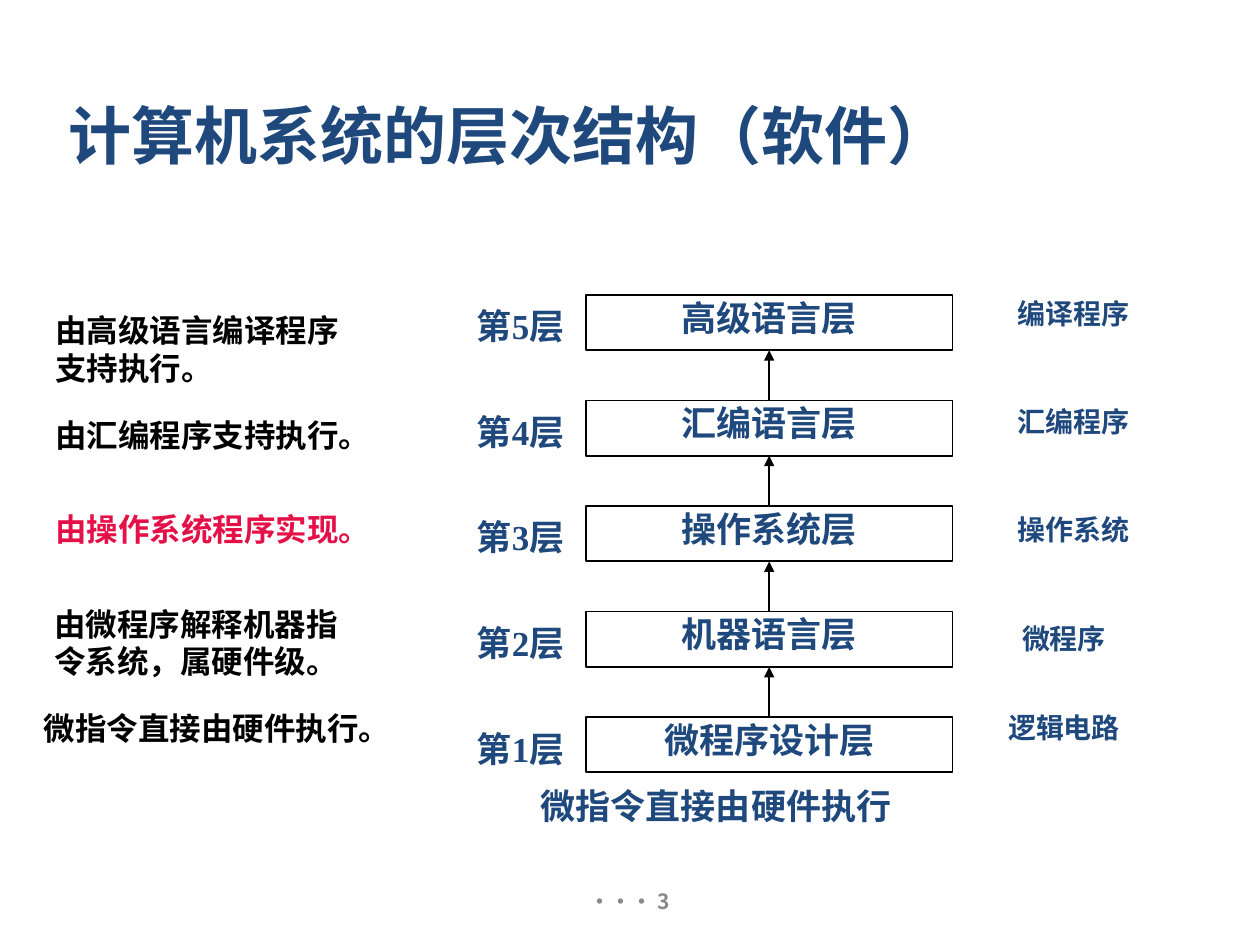
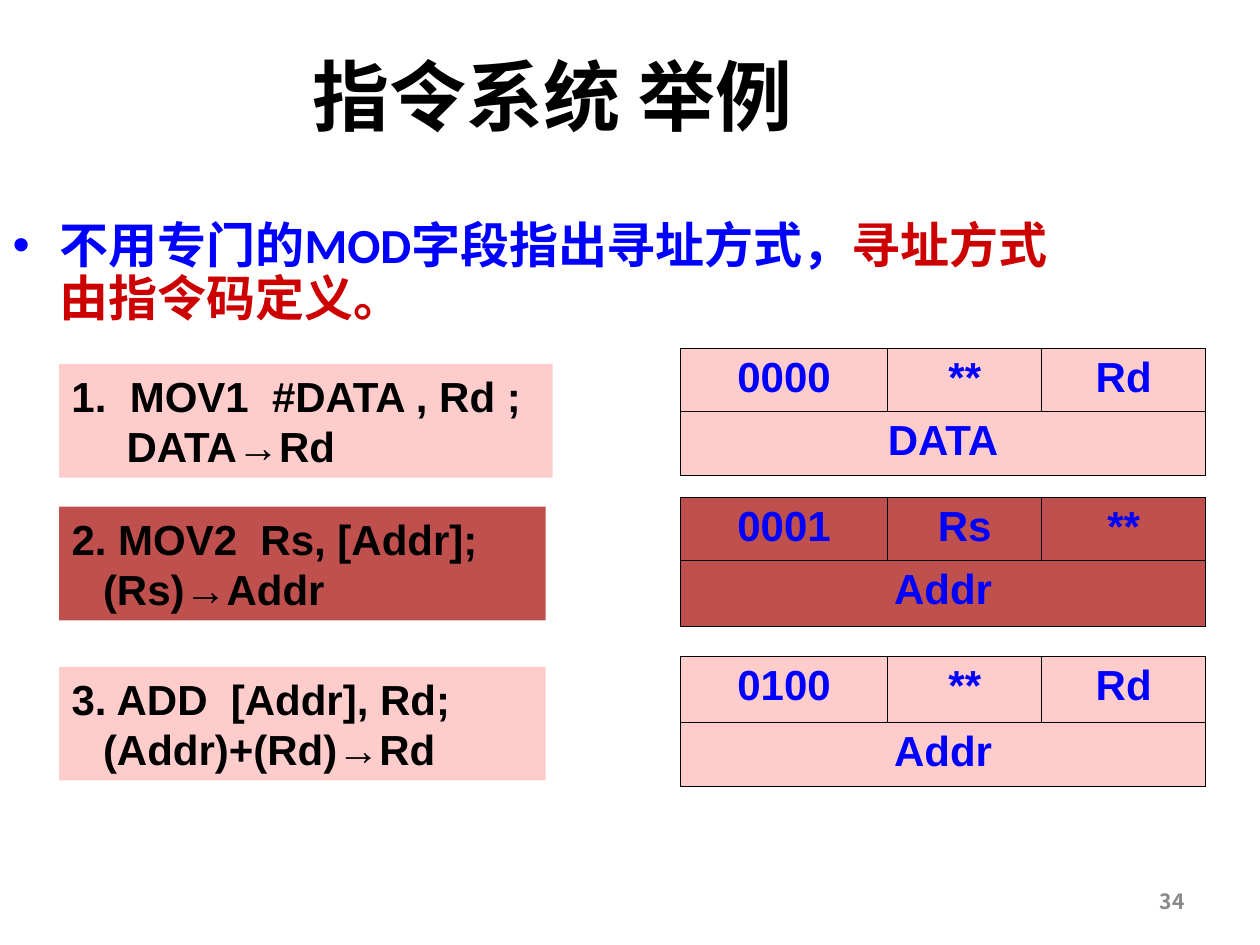
from lxml import etree
from pptx import Presentation
from pptx.dml.color import RGBColor
from pptx.enum.shapes import MSO_CONNECTOR, MSO_SHAPE
from pptx.enum.text import MSO_ANCHOR, MSO_AUTO_SIZE, PP_ALIGN
from pptx.oxml.ns import qn
from pptx.util import Pt

LEFT, MID, RIGHT = PP_ALIGN.LEFT, PP_ALIGN.CENTER, PP_ALIGN.RIGHT
TOP, CENTER = MSO_ANCHOR.TOP, MSO_ANCHOR.MIDDLE
RECT, LINE = MSO_SHAPE.RECTANGLE, MSO_CONNECTOR.STRAIGHT
FIXED = MSO_AUTO_SIZE.NONE

COLORS = {
    "navy": "1F497D", "black": "000000", "red": "E41048", "gray": "898989",
    "blue": "0000FF", "dark": "CC0000", "pink": "FFCCCC", "brick": "C0504D",
}
SANS, CJK, SERIF, BODY = "Arial", "Noto Sans CJK SC", "Times New Roman", "Calibri"
WIDE, THIN = (7.2, 3.6), (0.72, 0.72)

# Level name, program, left and top of the program's label
LEVELS = [
    ("高级语言层", "编译程序", 534, 168.5),
    ("汇编语言层", "汇编程序", 534, 230.4),
    ("操作系统层", "操作系统", 534, 292.3),
    ("机器语言层", "微程序", 528.5, 354.2),
    ("微程序设计层", "逻辑电路", 528.5, 405.4),
]
# Lines, left, top, colour
NOTES = [
    (["由高级语言编译程序", "支持执行。"], 24.5, 174.2, "black"),
    (["由汇编程序支持执行。"], 24.5, 234, "black"),
    (["由操作系统程序实现。"], 24.5, 288, "red"),
    (["由微程序解释机器指", "令系统，属硬件级。"], 24, 342, "black"),
    (["微指令直接由硬件执行。"], 18, 401.8, "black"),
]
# Code lines, top, width, indent of line two, colour
CODES = [
    (["1.  MOV1  #DATA , Rd ;", "DATA→Rd"], 208, 282, 31.5, "pink"),
    (["2. MOV2  Rs, [Addr];", "(Rs)→Addr"], 289.5, 278, 18, "brick"),
    (["3. ADD  [Addr], Rd;", "(Addr)+(Rd)→Rd"], 381, 278, 18, "pink"),
]
# Fields, second word, top, row heights, colour
FORMATS = [
    (["0000", "**", "Rd"], "DATA", 199.2, (36, 36.5), "pink"),
    (["0001", "Rs", "**"], "Addr", 284.3, (36, 37.5), "brick"),
    (["0100", "**", "Rd"], "Addr", 375.1, (37.5, 36.5), "pink"),
]


def rgb(name):
    return RGBColor.from_string(COLORS[name])


def style(para, size, face, color, align=LEFT):
    """Set the font of a whole paragraph, with one East Asian face."""
    font = para.font
    font.size, font.bold, font.name = Pt(size), True, face
    font.color.rgb = rgb(color)
    para.alignment = align
    latin = para._p.pPr.find(qn("a:defRPr")).find(qn("a:latin"))
    east = etree.Element(qn("a:ea"), typeface=CJK)
    latin.addnext(east)


def place(shape, box):
    shape.left, shape.top, shape.width, shape.height = map(Pt, box)


def write(shape, lines, size, face, color, align=LEFT, pad=WIDE, anchor=TOP):
    frame = shape.text_frame
    frame.auto_size, frame.word_wrap = FIXED, True
    frame.vertical_anchor = anchor
    frame.margin_left = frame.margin_right = Pt(pad[0])
    frame.margin_top = frame.margin_bottom = Pt(pad[1])
    frame.text = "\n".join(lines)
    for para in frame.paragraphs:
        style(para, size, face, color, align)
    return frame


def label(slide, box, lines, *look, **more):
    shape = slide.shapes.add_textbox(*map(Pt, box))
    return write(shape, lines, *look, **more)


def title(slide, box, text, *look):
    place(slide.shapes.title, box)
    write(slide.shapes.title, [text], *look, anchor=CENTER)


def number(slide, box, text, align):
    label(slide, box, [text], 12, CJK, "gray", align, anchor=CENTER)


def block(slide, box, fill=None):
    """Plain rectangle: filled without line, or outlined without fill."""
    shape = slide.shapes.add_shape(RECT, *map(Pt, box))
    shape.shadow.inherit = False
    if fill:
        shape.fill.solid()
        shape.fill.fore_color.rgb = rgb(fill)
        shape.line.fill.background()
    else:
        shape.fill.background()
        shape.line.color.rgb = rgb("black")
        shape.line.width = Pt(1)
    return shape


def arrow(slide, low, high):
    """Arrow from the top of one box to the bottom of the box above."""
    line = slide.shapes.add_connector(LINE, 0, 0, 0, 0)
    line.begin_connect(low, 0)
    line.end_connect(high, 2)
    line.line.color.rgb = rgb("black")
    line.line.width = Pt(1)
    etree.SubElement(line.line._get_or_add_ln(), qn("a:tailEnd"),
                     type="triangle", w="med", len="med")
    etree.SubElement(line._element.spPr, qn("a:effectLst"))


def stack(slide, box, pitch):
    """Level boxes, numbered on the left and joined by arrows."""
    left, top, width, height = box
    above = None
    for i, (name, tool, x, y) in enumerate(LEVELS):
        row = top + i * pitch
        level = block(slide, (left, row, width, height))
        frame = write(level, [name], 20, SERIF, "navy", MID, THIN)
        frame.paragraphs[0].space_before = Pt(1)
        label(slide, (left - 137.5, row + 5, 126, 27.4),
              [f"第{len(LEVELS) - i}层"], 20, SERIF, "navy", RIGHT, pad=THIN)
        label(slide, (x, y, 159, 27.4), [tool], 16, SERIF, "navy", MID, pad=THIN)
        if above:
            arrow(slide, level, above)
        above = level
    label(slide, (left - 26.5, row + 38, 285, 27.4), ["微指令直接由硬件执行"],
          20, SERIF, "navy", pad=THIN)


def border(cell):
    props = cell._tc.get_or_add_tcPr()
    for i, side in enumerate(("lnL", "lnR", "lnT", "lnB")):
        line = etree.Element(qn(f"a:{side}"), w=str(Pt(0.45)))
        fill = etree.SubElement(line, qn("a:solidFill"))
        etree.SubElement(fill, qn("a:srgbClr"), val=COLORS["black"])
        props.insert(i, line)


def layout(slide, left, fields, word, top, rows, fill):
    """Instruction format: three fields over one merged word."""
    cols = (118.5, 88, 93.7)
    box = (left, top, sum(cols), sum(rows))
    table = slide.shapes.add_table(2, 3, *map(Pt, box)).table
    table.first_row = table.horz_banding = False
    for col, width in zip(table.columns, cols):
        col.width = Pt(width)
    for row, height in zip(table.rows, rows):
        row.height = Pt(height)
    table.cell(1, 0).merge(table.cell(1, 2))
    for cell, text in zip(table.iter_cells(), fields + [word, "", ""]):
        cell.fill.solid()
        cell.fill.fore_color.rgb = rgb(fill)
        border(cell)
        if text:
            cell.text = text
            style(cell.text_frame.paragraphs[0], 24, SANS, "blue", MID)


def code(slide, left, lines, top, width, indent, fill):
    shape = block(slide, (left, top, width, 65), fill)
    frame = write(shape, lines, 24, SANS, "black", anchor=CENTER)
    frame.paragraphs[1]._p.pPr.set("marL", str(Pt(indent)))


def bullet(slide, box, lead, rest):
    body = slide.placeholders[1]
    place(body, box)
    para = write(body, [lead], 28, BODY, "blue").paragraphs[0]
    para.line_spacing, para.space_before = 0.9, Pt(7)
    run = para.add_run()
    run.text = rest
    run.font.color.rgb = rgb("dark")


def levels(deck):
    slide = deck.slides.add_slide(deck.slide_layouts[5])
    title(slide, (32, 32, 688, 90), "计算机系统的层次结构（软件）",
          36, CJK, "navy", LEFT)
    for lines, x, y, color in NOTES:
        label(slide, (x, y, 230, 7.2 + 21.6 * len(lines)), lines, 18, CJK, color)
    stack(slide, (334.8, 168.5, 209.5, 31.7), 60.3)
    number(slide, (246, 500.5, 228, 28.8), "••• 3", MID)


def sample(deck):
    slide = deck.slides.add_slide(deck.slide_layouts[1])
    title(slide, (0, 18, 631.5, 72), "指令系统 举例", 44, BODY, "black", MID)
    bullet(slide, (0, 123, 612, 68.4),
           "不用专门的MOD字段指出寻址方式，", "寻址方式由指令码定义。")
    for item in FORMATS:
        layout(slide, 388.8, *item)
    for item in CODES:
        code(slide, 33.8, *item)
    number(slide, (516, 500.5, 168, 28.8), "34", RIGHT)


def main():
    deck = Presentation()
    deck.slide_width, deck.slide_height = Pt(720), Pt(540)
    levels(deck)
    sample(deck)
    deck.save("out.pptx")


if __name__ == "__main__":
    main()
